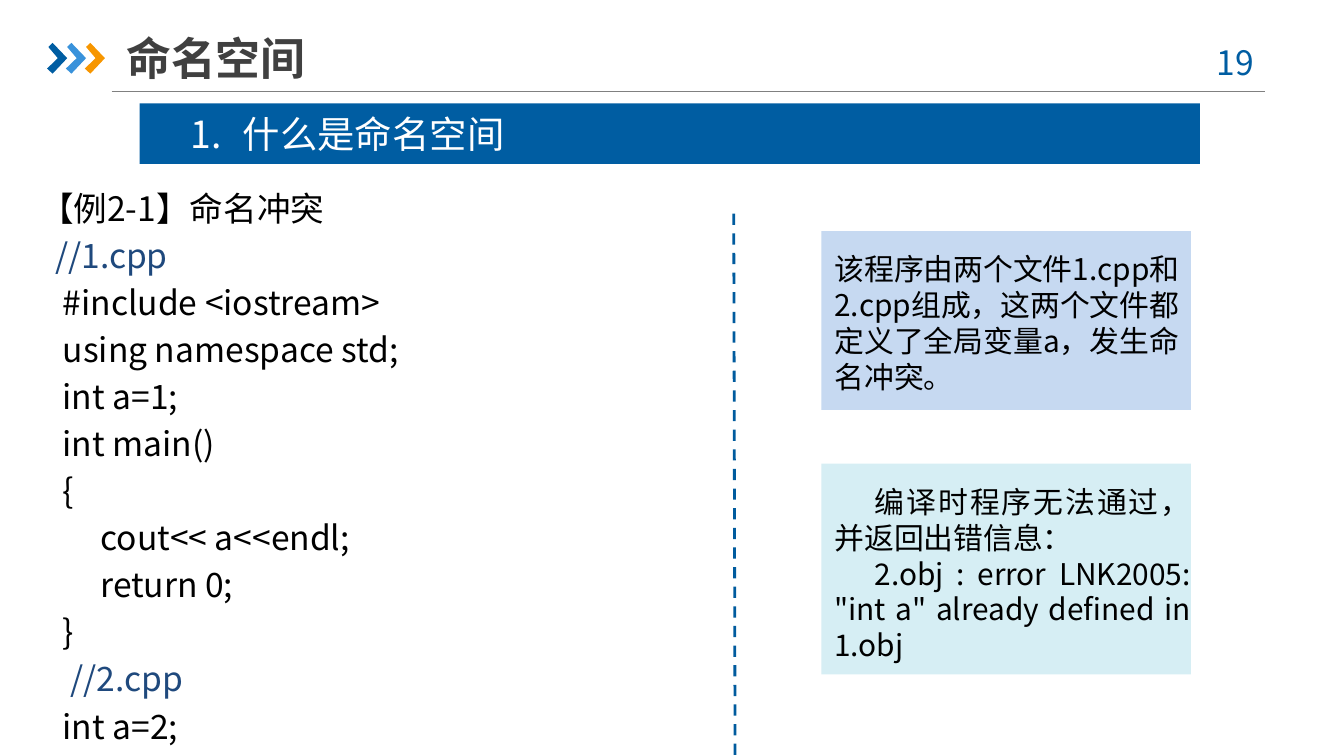
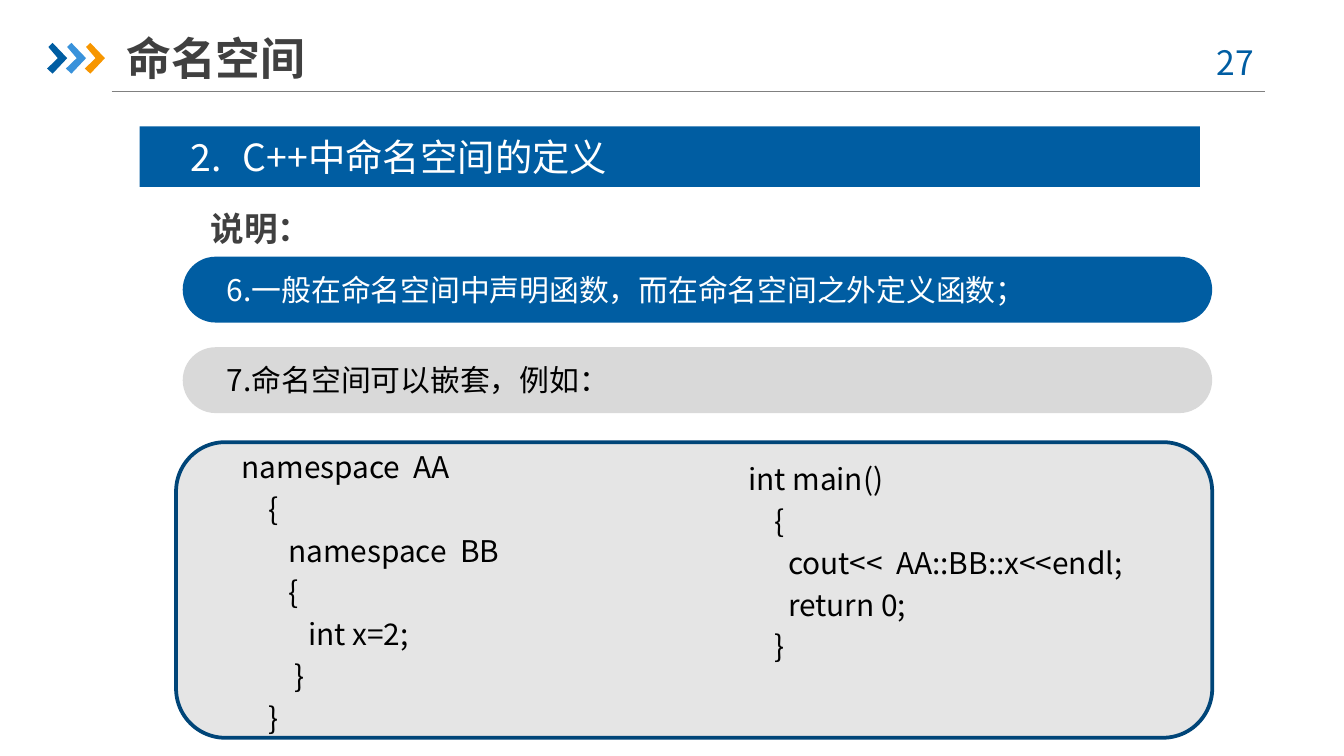
from lxml import etree
from pptx import Presentation
from pptx.dml.color import RGBColor
from pptx.enum.dml import MSO_LINE
from pptx.enum.shapes import MSO_CONNECTOR, MSO_SHAPE
from pptx.enum.text import MSO_ANCHOR, PP_ALIGN
from pptx.oxml.ns import qn
from pptx.util import Pt

RECT, ROUNDED = MSO_SHAPE.RECTANGLE, MSO_SHAPE.ROUNDED_RECTANGLE
LEFT, CENTER, JUSTIFY = PP_ALIGN.LEFT, PP_ALIGN.CENTER, PP_ALIGN.JUSTIFY
TOP, MIDDLE = MSO_ANCHOR.TOP, MSO_ANCHOR.MIDDLE
DASH = MSO_LINE.DASH
STRAIGHT = MSO_CONNECTOR.STRAIGHT

FONT = "Noto Sans CJK SC"
COLORS = {
    "blue": "005DA2", "sky": "3992DB", "orange": "F79600",
    "rule": "808080", "title": "404040", "black": "000000", "white": "FFFFFF",
    "comment": "1F497D", "divider": "005B9E", "pale blue": "C6D9F1",
    "pale cyan": "D6EEF4", "silver": "D9D9D9", "panel": "E5E5E5",
    "panel edge": "004578",
}

TITLE = "命名空间"
CONFLICT = {
    "page": "19",
    "heading": "1.\t什么是命名空间",
    "heading top": 55.4,
    "code": [
        "【例2-1】命名冲突",
        "  //1.cpp",
        "   #include <iostream>",
        "   using namespace std;",
        "   int a=1;",
        "   int main()",
        "   {",
        "        cout<< a<<endl;",
        "        return 0;",
        "   }",
        "    //2.cpp",
        "   int a=2;",
    ],
    # top, height, fill, first-line indent, alignment, paragraphs
    "remarks": [
        (123.8, 95.8, "pale blue", 0, LEFT,
         ["该程序由两个文件1.cpp和2.cpp组成，这两个文件都定义了全局变量a，发生命名冲突。"]),
        (248.4, 113, "pale cyan", 21.6, JUSTIFY,
         ["编译时程序无法通过，并返回出错信息：",
          '2.obj : error LNK2005: "int a" already defined in 1.obj']),
    ],
}
NESTING = {
    "page": "27",
    "heading": "2.\tC++中命名空间的定义",
    "heading top": 67.7,
    "label": "说明：",
    "rules": [
        ("6.一般在命名空间中声明函数，而在命名空间之外定义函数；", "blue", "white"),
        ("7.命名空间可以嵌套，例如：", "silver", "black"),
    ],
    # left, top, height, lines
    "listings": [
        (122.4, 236.9, 165.6, [
            "namespace  AA",
            "    {",
            "       namespace  BB",
            "       {",
            "          int x=2;",
            "        }",
            "    }",
        ]),
        (393.8, 243.4, 139, [
            "int main()",
            "    {",
            "      cout<<  AA::BB::x<<endl;",
            "      return 0;",
            "    }",
        ]),
    ],
}

CHEVRON = [(0.7, 2.2), (3, 0), (10.8, 8.2), (3, 16.5), (0, 13.8), (5.8, 8.2)]
CHEVRON_LEFT, CHEVRON_TOP, CHEVRON_STEP = 25.2, 23, 10.1


def rgb(color):
    return RGBColor.from_string(COLORS[color])


def paint(shape, fill, edge=None, width=0):
    shape.shadow.inherit = False
    shape.fill.solid()
    shape.fill.fore_color.rgb = rgb(fill)
    if edge:
        shape.line.color.rgb = rgb(edge)
        shape.line.width = Pt(width)
    else:
        shape.line.fill.background()


def add_block(slide, kind, box, fill, edge=None, width=0):
    shape = slide.shapes.add_shape(kind, *map(Pt, box))
    paint(shape, fill, edge, width)
    return shape


def add_line(slide, start, end, color, width, dash=None):
    line = slide.shapes.add_connector(STRAIGHT, *map(Pt, start + end))
    line.line.color.rgb = rgb(color)
    line.line.width = Pt(width)
    if dash:
        line.line.dash_style = dash
    etree.SubElement(line._element.spPr, qn("a:effectLst"))


def add_text(slide, box, lines, size, color="black", bold=False, align=LEFT,
             anchor=TOP, side_inset=7.2, gap=0, indent=0, tab=0):
    """Write one paragraph per line; lines that start with // get the comment colour."""
    frame = slide.shapes.add_textbox(*map(Pt, box)).text_frame
    frame.word_wrap = True
    frame.vertical_anchor = anchor
    frame.margin_left = frame.margin_right = Pt(side_inset)
    for index, line in enumerate(lines):
        paragraph = frame.add_paragraph() if index else frame.paragraphs[0]
        paragraph.alignment = align
        if index and gap:
            paragraph.space_before = Pt(gap)
        properties = paragraph._p.get_or_add_pPr()
        if indent:
            properties.set("indent", str(Pt(indent)))
        if tab:
            stops = etree.SubElement(properties, qn("a:tabLst"))
            etree.SubElement(stops, qn("a:tab"), pos=str(Pt(tab)), algn="l")
        run = paragraph.add_run()
        run.text = line
        font = run.font
        font.size, font.bold, font.name = Pt(size), bold, FONT
        font.color.rgb = rgb("comment" if line.lstrip().startswith("//") else color)
        etree.SubElement(run._r.get_or_add_rPr(), qn("a:ea"), typeface=FONT)


def add_code(slide, box, lines, size):
    add_text(slide, box, lines, size, gap=size * 0.2)


def add_chevrons(slide):
    for index, color in enumerate(("blue", "sky", "orange")):
        left = CHEVRON_LEFT + index * CHEVRON_STEP
        points = [(Pt(left + x), Pt(CHEVRON_TOP + y)) for x, y in CHEVRON]
        outline = slide.shapes.build_freeform(*points[0])
        outline.add_line_segments(points[1:], close=True)
        paint(outline.convert_to_shape(), color)


def add_frame(deck, content):
    """Start a slide with the title, page number and heading band."""
    slide = deck.slides.add_slide(deck.slide_layouts[6])
    add_line(slide, (59.8, 49), (677.5, 49), "rule", 0.75)
    add_chevrons(slide)
    add_text(slide, (635.5, 18.7, 52.6, 28.8), [content["page"]], 18, "blue", align=CENTER)
    add_text(slide, (67.7, 15.8, 337.7, 30.2), [TITLE], 24, "title", bold=True,
             anchor=MIDDLE, side_inset=0)
    top = content["heading top"]
    add_block(slide, RECT, (74.9, top, 568, 32.4), "blue")
    add_text(slide, (95, top + 0.7, 264.2, 31.7), [content["heading"]], 20, "white", tab=28)
    return slide


def build_conflict(deck):
    slide = add_frame(deck, CONFLICT)
    add_code(slide, (14.4, 97.2, 289.4, 316.8), CONFLICT["code"], 18)
    add_line(slide, (393.1, 114.5), (393.8, 405), "divider", 1.5, DASH)
    for top, height, fill, indent, align, lines in CONFLICT["remarks"]:
        add_block(slide, RECT, (440, top, 198, height), fill)
        add_text(slide, (440, top + 7.2, 205, height), lines, 16,
                 align=align, indent=indent)


def build_nesting(deck):
    slide = add_frame(deck, NESTING)
    add_text(slide, (105.8, 108, 80, 28.8), [NESTING["label"]], 18, "title", bold=True)
    for index, (rule, fill, color) in enumerate(NESTING["rules"]):
        top = 137.5 + index * 48.5
        pill = add_block(slide, ROUNDED, (97.9, top, 551.5, 35.3), fill)
        pill.adjustments[0] = 0.5
        add_text(slide, (114.5, top + 4.3, 480, 26.6), [rule], 16, color)
    add_block(slide, ROUNDED, (94.3, 236.9, 555.1, 158.4), "panel", "panel edge", 2)
    for left, top, height, lines in NESTING["listings"]:
        add_code(slide, (left, top, 249.1, height), lines, 16)


def main():
    deck = Presentation()
    deck.slide_width, deck.slide_height = Pt(720), Pt(405)
    build_conflict(deck)
    build_nesting(deck)
    deck.save("out.pptx")


if __name__ == "__main__":
    main()
